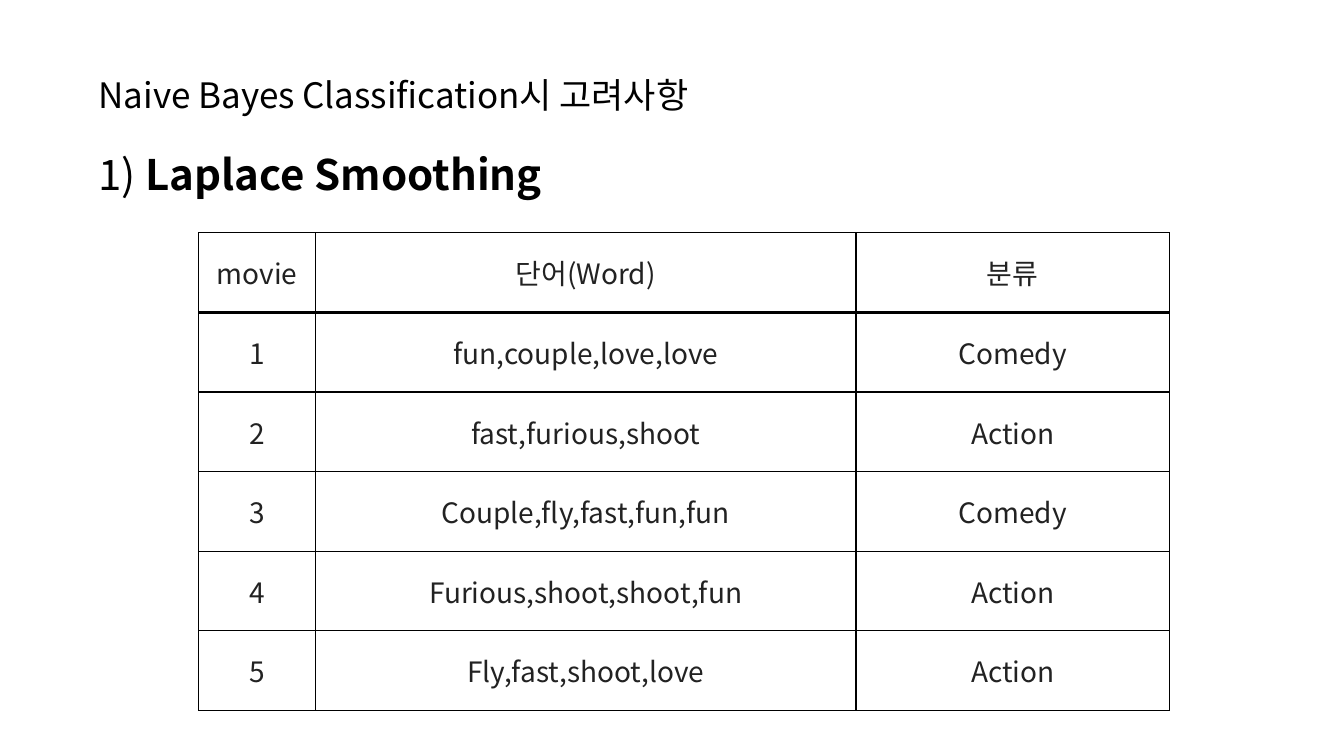
from dataclasses import dataclass

from lxml.etree import SubElement
from pptx import Presentation
from pptx.dml.color import RGBColor
from pptx.enum.text import MSO_ANCHOR, PP_ALIGN
from pptx.oxml.ns import qn
from pptx.util import Inches, Pt


@dataclass(frozen=True)
class Theme:
    font: str = "Noto Sans CJK KR"
    ink: str = "000000"
    body: str = "222222"
    paper: str = "FFFFFF"
    title: int = 30
    lead: int = 25
    cell: int = 20
    line: float = 1
    rule: float = 2


class Page:
    def __init__(self, deck, theme):
        self.theme = theme
        self.slide = deck.slides.add_slide(deck.slide_layouts[6])

    def style(self, para, size, color):
        font = para.font
        font.name = self.theme.font
        font.size = Pt(size)
        font.color.rgb = RGBColor.from_string(color)
        props = para._p.get_or_add_pPr().find(qn("a:defRPr"))
        SubElement(props, qn("a:ea"), typeface=self.theme.font)

    def text(self, box, parts, size):
        frame = self.slide.shapes.add_textbox(*map(Inches, box)).text_frame
        frame.word_wrap = True
        frame.vertical_anchor = MSO_ANCHOR.MIDDLE
        para = frame.paragraphs[0]
        para.line_spacing = 0.9
        self.style(para, size, self.theme.ink)
        for words, bold in parts:
            run = para.add_run()
            run.text = words
            if bold:
                run.font.bold = True

    def border(self, cell, side, width):
        props = cell._tc.get_or_add_tcPr()
        line = SubElement(props, qn(f"a:ln{side}"), w=str(Pt(width)))
        fill = SubElement(line, qn("a:solidFill"))
        SubElement(fill, qn("a:srgbClr"), val=self.theme.ink)

    def cell(self, cell, words, widths):
        cell.text = words
        cell.vertical_anchor = MSO_ANCHOR.MIDDLE
        cell.margin_left = cell.margin_right = Inches(0.07)
        cell.margin_top = cell.margin_bottom = 0
        para = cell.text_frame.paragraphs[0]
        para.alignment = PP_ALIGN.CENTER
        self.style(para, self.theme.cell, self.theme.body)
        for side, width in zip("LRTB", widths):
            self.border(cell, side, width)
        cell.fill.solid()
        cell.fill.fore_color.rgb = RGBColor.from_string(self.theme.paper)

    def table(self, left, top, cols, height, rows):
        box = (left, top, sum(cols), height * len(rows))
        table = self.slide.shapes.add_table(
            len(rows), len(cols), *map(Inches, box)).table
        table.first_row = table.horz_banding = False
        for col, width in zip(table.columns, cols):
            col.width = Inches(width)
        line, rule = self.theme.line, self.theme.rule
        for r, row in enumerate(rows):
            table.rows[r].height = Inches(height)
            above = rule if r == 1 else line
            below = rule if r == 0 else line
            for c, words in enumerate(row):
                self.cell(table.cell(r, c), words, (line, line, above, below))


deck = Presentation()
deck.slide_width, deck.slide_height = Inches(13.33), Inches(7.5)
theme = Theme()
page = Page(deck, theme)

page.text((0.88, 1.34, 4.68, 0.82),
          [("1) ", False), ("Laplace Smoothing", True)], theme.title)
page.text((0.88, 0.73, 8.2, 0.46),
          [("Naive Bayes Classification시 고려사항", False)], theme.lead)

movies = [
    ("fun,couple,love,love", "Comedy"),
    ("fast,furious,shoot", "Action"),
    ("Couple,fly,fast,fun,fun", "Comedy"),
    ("Furious,shoot,shoot,fun", "Action"),
    ("Fly,fast,shoot,love", "Action"),
]
rows = [("movie", "단어(Word)", "분류")]
rows += [(str(n), *movie) for n, movie in enumerate(movies, 1)]
page.table(1.97, 2.31, (1.16, 5.36, 3.11), 0.79, rows)

deck.save("out.pptx")
